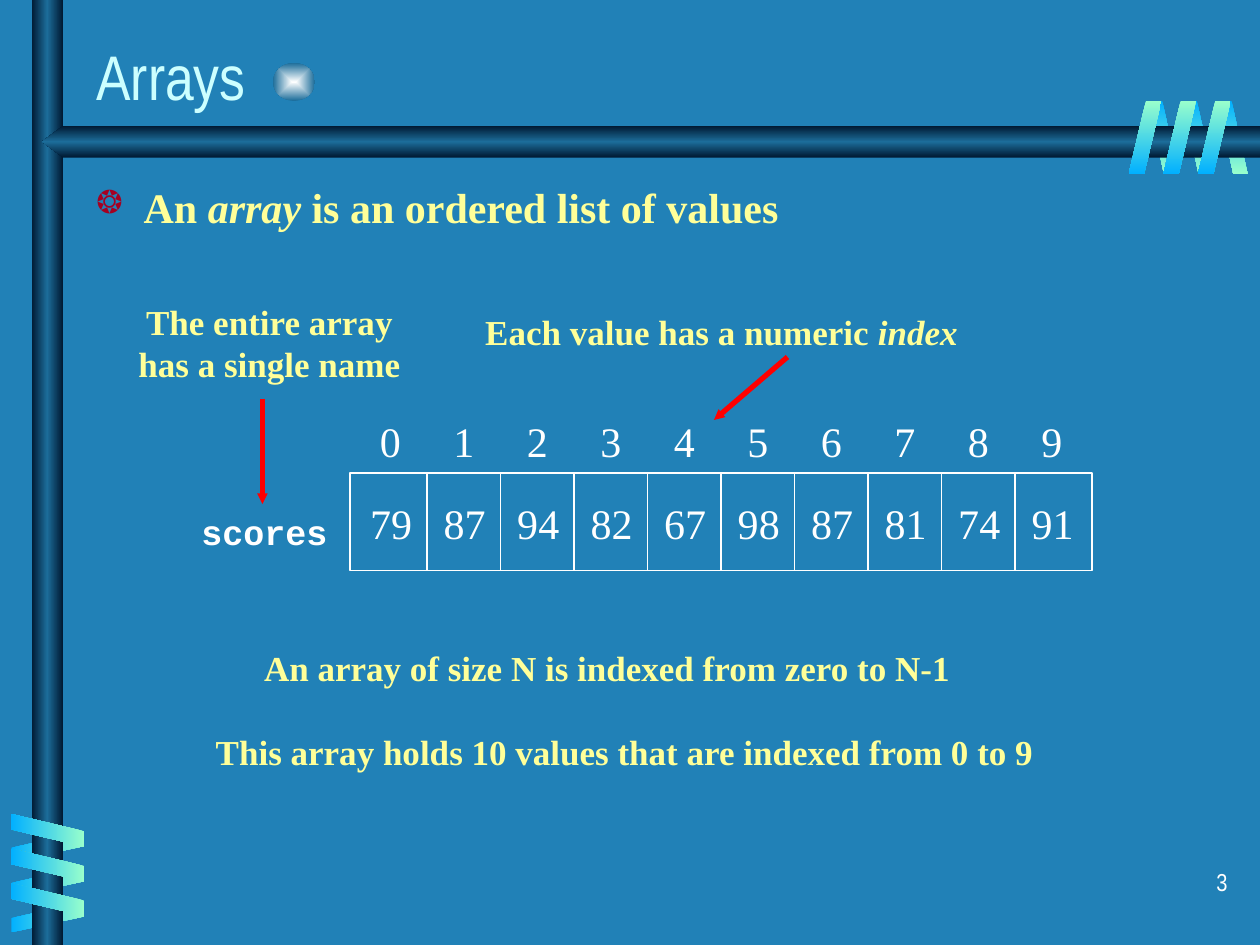
from dataclasses import dataclass
from lxml.etree import SubElement
from pptx import Presentation
from pptx.dml.color import RGBColor
from pptx.enum.shapes import MSO_CONNECTOR, MSO_SHAPE
from pptx.enum.text import MSO_ANCHOR, MSO_AUTO_SIZE, PP_ALIGN
from pptx.oxml.ns import qn
from pptx.util import Pt


@dataclass(frozen=True)
class Theme:
    background: str = "2181B7"
    title: str = "CCFFFF"
    accent: str = "FFFF99"
    plain: str = "FFFFFF"
    bullet: str = "A50021"
    arrow: str = "FF0000"
    bar: tuple = ("001932", "1C6D9A", "001932")
    ribbon_front: tuple = ("99FFCC", "01B0FF")
    ribbon_back: tuple = ("01B0FF", "99FFCC")
    jewel: tuple = ("FEFFFF", "1C6D9A")
    serif: str = "Times New Roman"
    narrow: str = "Arial Narrow"
    mono: str = "Courier New"
    title_size: int = 36
    body_size: int = 24
    label_size: int = 20
    number_size: int = 14


def write_text(frame, text, *, size, color, font, bold=False,
               align=PP_ALIGN.LEFT, space_before=0):
    for index, line in enumerate(text.split("\n")):
        paragraph = frame.paragraphs[0] if index == 0 else frame.add_paragraph()
        paragraph.alignment = align
        paragraph.space_before = Pt(space_before)
        for position, words in enumerate(line.split("*")):
            if not words:
                continue
            run = paragraph.add_run()
            run.text = words
            run.font.size = Pt(size)
            run.font.name = font
            run.font.bold = bold
            run.font.italic = position % 2 == 1
            run.font.color.rgb = RGBColor.from_string(color)


class SlideBuilder:
    def __init__(self, slide, theme):
        self.slide = slide
        self.shapes = slide.shapes
        self.theme = theme

    def background(self):
        fill = self.slide.background.fill
        fill.solid()
        fill.fore_color.rgb = RGBColor.from_string(self.theme.background)

    def title(self, text, left, top, width, height):
        heading = self.shapes.title
        heading.left, heading.top = Pt(left), Pt(top)
        heading.width, heading.height = Pt(width), Pt(height)
        frame = heading.text_frame
        frame.auto_size = MSO_AUTO_SIZE.NONE
        frame.vertical_anchor = MSO_ANCHOR.MIDDLE
        write_text(frame, text, size=self.theme.title_size,
                   color=self.theme.title, font=self.theme.narrow)

    def text(self, text, left, top, width, height, wrap=False, **changes):
        box = self.shapes.add_textbox(Pt(left), Pt(top), Pt(width), Pt(height))
        box.text_frame.word_wrap = wrap
        style = dict(size=self.theme.label_size, color=self.theme.accent,
                     font=self.theme.serif, bold=True, align=PP_ALIGN.CENTER)
        write_text(box.text_frame, text, **{**style, **changes})
        return box.text_frame.paragraphs[0]

    def bullet(self, text, left, top, width, height):
        paragraph = self.text(text, left, top, width, height, wrap=True,
                              size=self.theme.body_size,
                              align=PP_ALIGN.LEFT, space_before=6)
        properties = paragraph._p.get_or_add_pPr()
        properties.set("marL", str(Pt(27)))
        properties.set("indent", str(Pt(-27)))
        color = SubElement(properties, qn("a:buClr"))
        SubElement(color, qn("a:srgbClr"), val=self.theme.bullet)
        SubElement(properties, qn("a:buSzPct"), val="75000")
        SubElement(properties, qn("a:buChar"), char="❂")

    def array_row(self, values, left, top, width, first_center, pitch):
        paragraph = self.text("\t".join(map(str, values)), left, top, width, 36,
                              wrap=True, size=self.theme.body_size,
                              color=self.theme.plain, bold=False,
                              align=PP_ALIGN.LEFT)
        tabs = SubElement(paragraph._p.get_or_add_pPr(), qn("a:tabLst"))
        for column in range(1, len(values)):
            SubElement(tabs, qn("a:tab"), algn="ctr",
                       pos=str(Pt(first_center + column * pitch)))

    def gradient(self, shape, colors, angle=None):
        shape.shadow.inherit = False
        shape.line.fill.background()
        shape.fill.gradient()
        fill = shape.element.spPr.find(qn("a:gradFill"))
        fill.set("rotWithShape", "0")
        for child in list(fill):
            fill.remove(child)
        stops = SubElement(fill, qn("a:gsLst"))
        for index, color in enumerate(colors):
            offset = 100000 * index // (len(colors) - 1)
            stop = SubElement(stops, qn("a:gs"), pos=str(offset))
            SubElement(stop, qn("a:srgbClr"), val=color)
        if angle is None:
            center = SubElement(fill, qn("a:path"), path="rect")
            SubElement(center, qn("a:fillToRect"),
                       dict.fromkeys("ltrb", "50000"))
        else:
            SubElement(fill, qn("a:lin"), ang=str(angle * 60000), scaled="0")

    def preset(self, kind, left, top, width, height, colors, angle=None):
        shape = self.shapes.add_shape(kind, Pt(left), Pt(top), Pt(width), Pt(height))
        self.gradient(shape, colors, angle)
        return shape

    def ribbon(self, left, top, width, colors, angle, rotation, step_x=0,
               step_y=0, flipped=False):
        for turn in range(3):
            band = self.preset(MSO_SHAPE.PARALLELOGRAM, left + turn * step_x,
                               top + turn * step_y, width, 41.8, colors, angle)
            band.adjustments[0] = 0.53
            band.rotation = rotation
            if flipped:
                band.element.spPr.find(qn("a:xfrm")).set("flipH", "1")

    def pointed_bar(self, points):
        (start_x, start_y), *others = [(Pt(x), Pt(y)) for x, y in points]
        builder = self.shapes.build_freeform(start_x, start_y)
        builder.add_line_segments(others, close=True)
        self.gradient(builder.convert_to_shape(), self.theme.bar, 90)

    def cell(self, left, top, width, height):
        box = self.shapes.add_shape(MSO_SHAPE.RECTANGLE, Pt(left), Pt(top),
                                    Pt(width), Pt(height))
        box.shadow.inherit = False
        box.fill.background()
        box.line.width = Pt(1)
        box.line.color.rgb = RGBColor.from_string(self.theme.plain)

    def line(self, start, end, color, weight, arrow=False):
        link = self.shapes.add_connector(
            MSO_CONNECTOR.STRAIGHT, *(Pt(value) for value in (*start, *end)))
        link.line.width = Pt(weight)
        link.line.color.rgb = RGBColor.from_string(color)
        if arrow:
            SubElement(link.line._get_or_add_ln(), qn("a:tailEnd"),
                       type="triangle", w="sm", len="sm")
        SubElement(link.element.spPr, qn("a:effectLst"))


def draw_decoration(page, theme):
    page.preset(MSO_SHAPE.OVAL, 156, 36, 24, 21.6, theme.jewel)
    page.ribbon(656, 57.6, 17.3, theme.ribbon_back, 90, 180, step_x=19.8, flipped=True)
    page.ribbon(18.7, 463, 17.3, theme.ribbon_back, 180, 90, step_y=20.1, flipped=True)
    page.preset(MSO_SHAPE.RECTANGLE, 18, 0, 18, 540, theme.bar, 180)
    page.pointed_bar([(720, 72), (36, 72), (24, 81), (36, 90), (720, 90)])
    page.ribbon(18, 453.6, 18.7, theme.ribbon_front, 180, 270, step_y=19.8)
    page.ribbon(645, 57.6, 18.7, theme.ribbon_front, 90, 0, step_x=19.8)


def draw_array(page, theme):
    scores = [79, 87, 94, 82, 67, 98, 87, 81, 74, 91]
    pitch, first_divider, top, height = 42, 244, 270.5, 55.5
    page.array_row(range(len(scores)), 210, 234, 412, 6, pitch)
    page.cell(200, top, 424, height)
    for pair in range(4):
        page.cell(first_divider + 2 * pair * pitch, top, pitch, height)
    last_divider = first_divider + 8 * pitch
    page.line((last_divider, top), (last_divider, top + height), theme.plain, 1)
    page.array_row(scores, 204.5, 281, 424, 12, pitch)


def main():
    theme = Theme()
    deck = Presentation()
    deck.slide_width, deck.slide_height = Pt(720), Pt(540)
    page = SlideBuilder(deck.slides.add_slide(deck.slide_layouts[5]), theme)
    page.background()
    draw_decoration(page, theme)
    page.title("Arrays", 48, 16, 598, 54)
    page.bullet("An *array* is an ordered list of values", 48, 100, 654, 386)
    draw_array(page, theme)
    page.text("An array of size N is indexed from zero to N-1", 143.5, 366, 407, 31.5)
    page.text("scores", 108, 288, 86.4, 31, color=theme.plain, font=theme.mono,
              align=PP_ALIGN.LEFT)
    page.text("The entire array\nhas a single name", 72, 168, 164, 55.5)
    page.line((150, 228), (150, 288), theme.arrow, 3, arrow=True)
    page.text("Each value has a numeric *index*", 270, 174, 284.5, 31.5)
    page.line((450, 204), (408, 240), theme.arrow, 3, arrow=True)
    page.text("This array holds 10 values that are indexed from 0 to 9",
              116, 414, 482, 31.5)
    page.text("3", 558.5, 492, 150, 36, wrap=True, size=theme.number_size,
              color=theme.plain, font=theme.narrow, bold=False,
              align=PP_ALIGN.RIGHT)
    deck.save("out.pptx")


if __name__ == "__main__":
    main()
